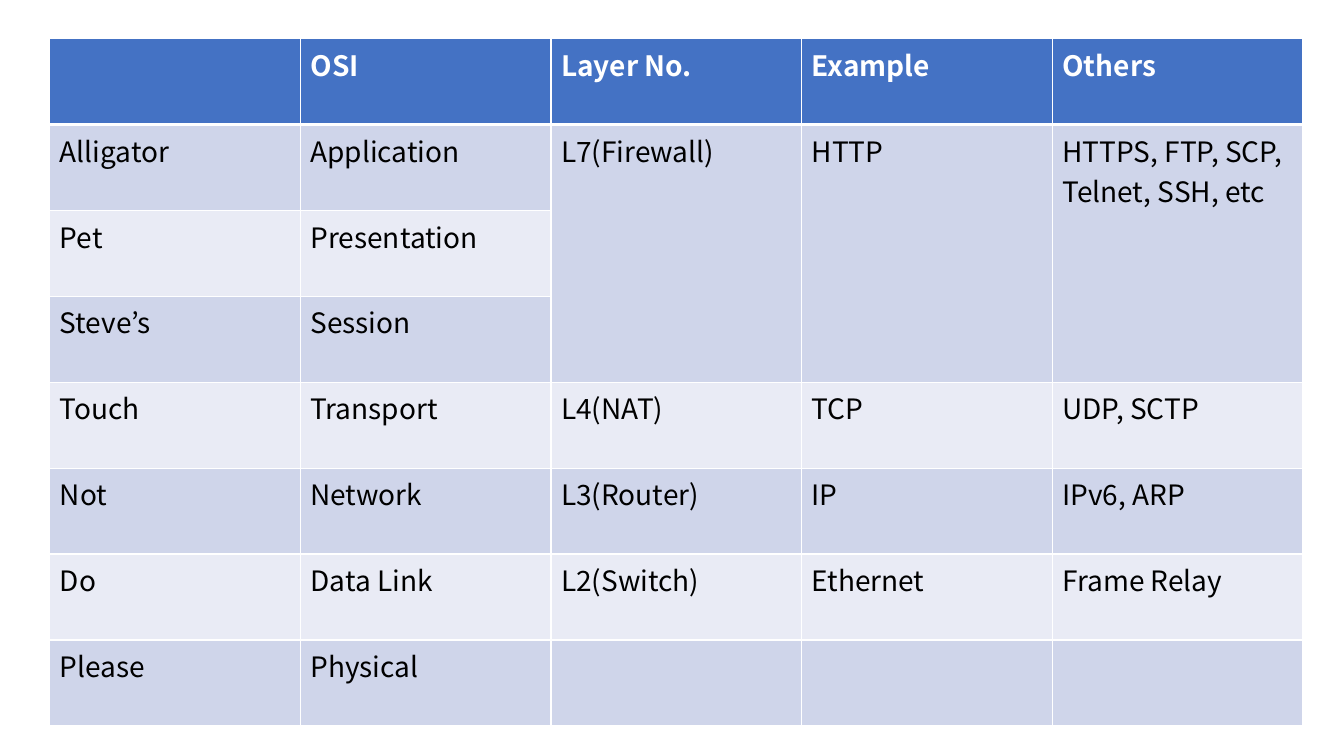
from lxml.etree import SubElement
from pptx import Presentation
from pptx.dml.color import RGBColor
from pptx.oxml.ns import qn
from pptx.util import Inches, Pt

FONT = "Noto Sans CJK KR"
WHITE, BLACK, BLUE = "FFFFFF", "000000", "4472C4"
BANDS = ["CFD5EA", "E9EBF5"]
HEADER_FORMAT = {"name": FONT, "size": Pt(20), "bold": True}
BODY_FORMAT = {**HEADER_FORMAT, "bold": False}

ROWS = [
    ["", "OSI", "Layer No.", "Example", "Others"],
    ["Alligator", "Application", "L7(Firewall)", "HTTP",
     "HTTPS, FTP, SCP, Telnet, SSH, etc"],
    ["Pet", "Presentation"],
    ["Steve’s", "Session"],
    ["Touch", "Transport", "L4(NAT)", "TCP", "UDP, SCTP"],
    ["Not", "Network", "L3(Router)", "IP", "IPv6, ARP"],
    ["Do", "Data Link", "L2(Switch)", "Ethernet", "Frame Relay"],
    ["Please", "Physical"],
]
MERGED_COLUMNS = [2, 3, 4]
MERGED_ROWS = (1, 3)


def color(hex_string):
    return RGBColor.from_string(hex_string)


def set_borders(cell, widths):
    """Draw white cell borders; they must stand before the fill."""
    properties = cell._tc.get_or_add_tcPr()
    for position, (side, points) in enumerate(widths.items()):
        line = SubElement(properties, qn("a:ln" + side), w=str(Pt(points)))
        fill = SubElement(line, qn("a:solidFill"))
        SubElement(fill, qn("a:srgbClr"), val=WHITE)
        properties.insert(position, line)


def write_cell(cell, text, text_format, text_color):
    if not text:
        return
    paragraph = cell.text_frame.paragraphs[0]
    run = paragraph.add_run()
    run.text = text
    for attribute, value in text_format.items():
        setattr(run.font, attribute, value)
    run.font.color.rgb = color(text_color)


def add_layer_table(slide, left, top, width, height):
    row_count, column_count = len(ROWS), len(ROWS[0])
    table = slide.shapes.add_table(
        row_count, column_count, left, top, width, height).table
    for column in table.columns:
        column.width = int(width / column_count)
    for row in table.rows:
        row.height = int(height / row_count)

    # Fill, borders and text of every cell
    for row_index, texts in enumerate(ROWS):
        is_header = row_index == 0
        background = BLUE if is_header else BANDS[(row_index - 1) % 2]
        widths = {"L": 1, "R": 1, "T": 3 if row_index == 1 else 1,
                  "B": 3 if is_header else 1}
        for column_index in range(column_count):
            cell = table.cell(row_index, column_index)
            cell.fill.solid()
            cell.fill.fore_color.rgb = color(background)
            set_borders(cell, widths)
            if column_index < len(texts):
                write_cell(cell, texts[column_index],
                           HEADER_FORMAT if is_header else BODY_FORMAT,
                           WHITE if is_header else BLACK)

    # The top three layers share their right-hand cells
    first, last = MERGED_ROWS
    for column_index in MERGED_COLUMNS:
        table.cell(first, column_index).merge(table.cell(last, column_index))


presentation = Presentation()
presentation.slide_width = Inches(13.33)
presentation.slide_height = Inches(7.5)
slide = presentation.slides.add_slide(presentation.slide_layouts[6])

# Table box in percent of the slide
percent_x = presentation.slide_width / 100
percent_y = presentation.slide_height / 100
add_layer_table(slide, int(3.7 * percent_x), int(5.1 * percent_y),
                int(93.25 * percent_x), int(90.93 * percent_y))

presentation.save("out.pptx")
